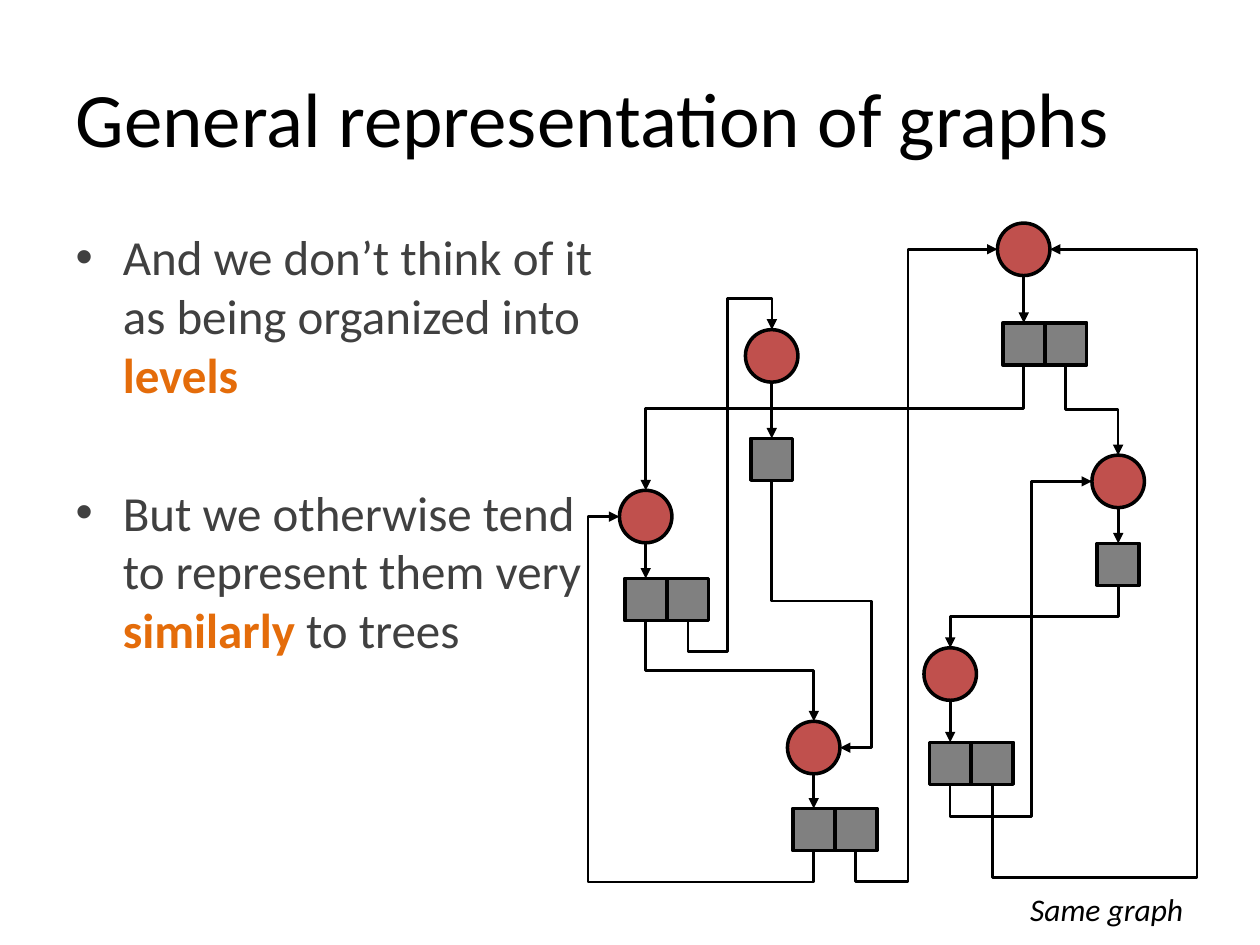
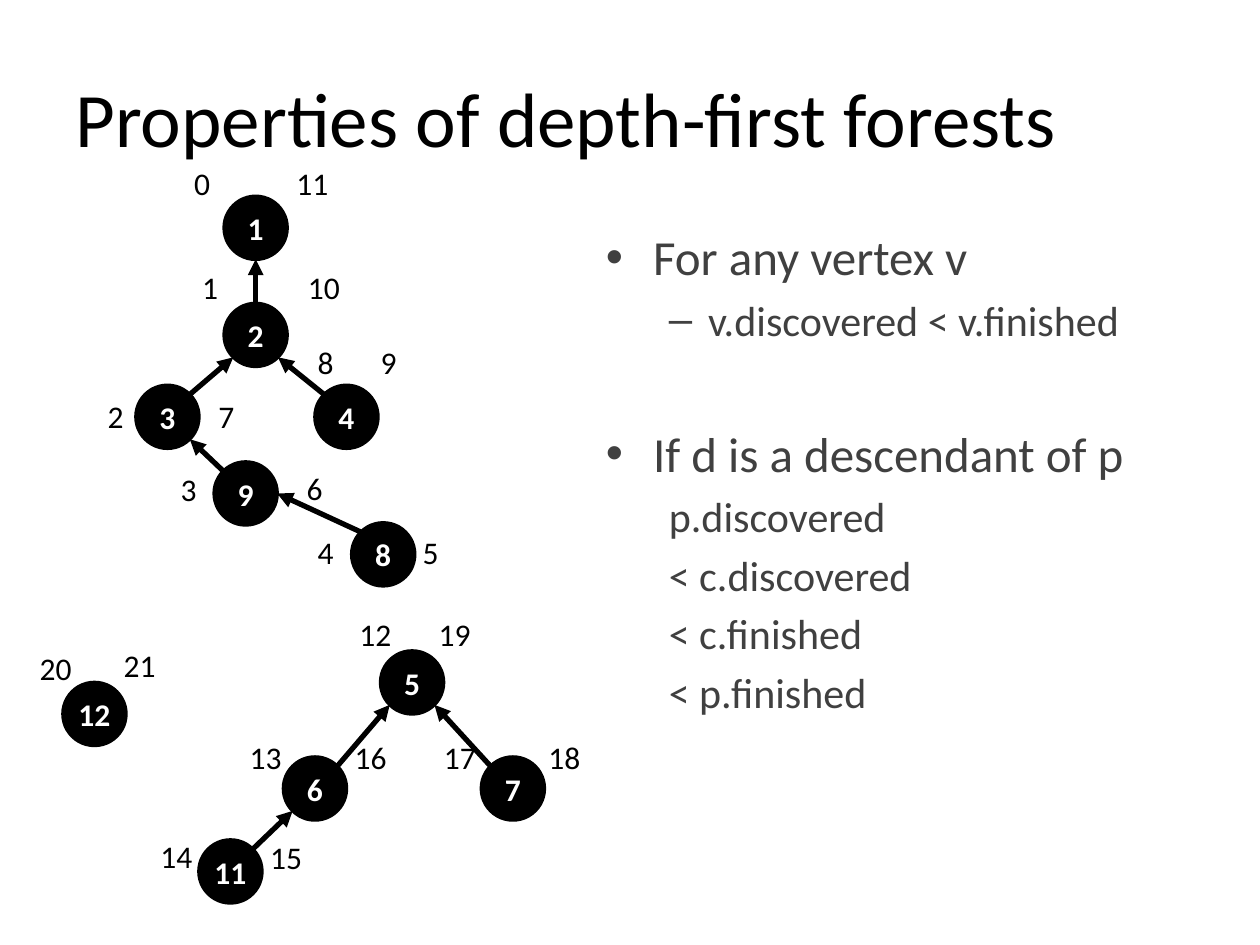
from lxml import etree
from pptx import Presentation
from pptx import util as u
from pptx.dml.color import RGBColor
from pptx.enum import shapes, text
from pptx.oxml.ns import qn

INK = {"black": "000000", "white": "FFFFFF", "body": "404040",
       "key": "E46C0A", "node": "C0504D", "cell": "808080"}
FONT = "Calibri"
COLS, ROWS = 120, 90          # slide grid; one cell is 1/12 inch
UNIT = u.Inches(10) // COLS
SIDES = {"top": (0, 0, -1), "left": (2, -1, 0), "right": (6, 1, 0)}


def cell(n):
    return round(n * UNIT)


def rgb(name):
    return RGBColor.from_string(INK[name])


# ---- shared parts ----
def add_run(para, words, size, ink, bold=None, slant=None):
    run = para.add_run()
    run.text = words
    font = run.font
    font.name, font.size, font.bold, font.italic = FONT, u.Pt(size), bold, slant
    font.color.rgb = rgb(ink)


def start(deck, title, box, paras):
    """Add a slide with a title and a list; paras hold (kind, gap, runs)."""
    slide = deck.slides.add_slide(deck.slide_layouts[1])
    head, body = slide.placeholders
    place(head, (6, 3.6, 108, 15))
    place(body, box)
    para = head.text_frame.paragraphs[0]
    para.alignment = text.PP_ALIGN.LEFT
    add_run(para, title, 44, "black")
    frame = body.text_frame
    for i, (kind, gap, runs) in enumerate(paras):
        para = frame.paragraphs[0] if i == 0 else frame.add_paragraph()
        para.level = 0 if kind == "main" else 1
        if kind == "plain":
            props = para._p.get_or_add_pPr()
            props.set("marL", str(cell(6)))
            props.set("indent", "0")
            etree.SubElement(props, qn("a:buNone"))
        if gap is not None:
            para.space_before = u.Pt(gap)
        for words, ink in runs:
            add_run(para, words, 28 if kind == "main" else 24, ink,
                    bold=ink == "key")
    return slide


def place(shape, box):
    shape.left, shape.top, shape.width, shape.height = map(cell, box)


def add_form(slide, form, box, ink):
    shape = slide.shapes.add_shape(form, *map(cell, box))
    shape.shadow.inherit = False
    shape.fill.solid()
    shape.fill.fore_color.rgb = rgb(ink)
    shape.line.color.rgb = rgb("black")
    shape.line.width = u.Pt(2)
    return shape


def add_disc(slide, x, y, size, ink):
    box = (x - size / 2, y - size / 2, size, size)
    return add_form(slide, shapes.MSO_SHAPE.OVAL, box, ink)


def add_note(slide, x, y, wide, words, slant=None):
    """Add a text box centred on x, y."""
    high = 4.8
    note = slide.shapes.add_textbox(
        *map(cell, (x - wide / 2, y - high / 2, wide, high)))
    note.text_frame.word_wrap = False
    para = note.text_frame.paragraphs[0]
    para.alignment = text.PP_ALIGN.CENTER
    add_run(para, words, 18, "black", slant=slant)


def add_arrow(slide, kind, ends, width):
    line = slide.shapes.add_connector(kind, *map(cell, ends))
    line.line.color.rgb = rgb("black")
    line.line.width = u.Pt(width)
    props = line._element.spPr
    etree.SubElement(props.find(qn("a:ln")), qn("a:tailEnd"), type="triangle")
    etree.SubElement(props, qn("a:effectLst"))
    return line


def add_bend(slide, a, b, mids):
    """Add an elbow arrow that leaves a downwards; mids are y, x, y in turn."""
    (ax, ay), (bx, by) = a, b
    dx, dy = bx - ax, by - ay
    mx, my = (ax + bx) / 2, (ay + by) / 2
    # Elbows leave sideways, so lay the path out flat and turn it by 90 degrees
    flat = (mx - dy / 2, my + dx / 2, mx + dy / 2, my - dx / 2)
    line = add_arrow(slide, shapes.MSO_CONNECTOR.ELBOW, flat, 1.5)
    props = line._element.spPr
    props.find(qn("a:xfrm")).set("rot", str(90 * 60000))
    geom = props.find(qn("a:prstGeom"))
    geom.set("prst", f"bentConnector{len(mids) + 2}")
    guides = geom.find(qn("a:avLst"))
    for i, mid in enumerate(mids):
        share = (mid - ax) / dx if i % 2 else (mid - ay) / dy
        etree.SubElement(guides, qn("a:gd"), name=f"adj{i + 1}",
                         fmla=f"val {round(share * 100000)}")
    return line


def glue(line, **ends):
    """Join line ends (stCxn, endCxn) to (shape, site) pairs."""
    host = line._element.find(".//" + qn("p:cNvCxnSpPr"))
    for tag, (shape, site) in ends.items():
        etree.SubElement(host, qn("a:" + tag), id=str(shape.shape_id),
                         idx=str(site))


# ---- linked graph ----
def draw_graph(slide, left, top):
    size, side = 5, 4
    # name: centre x, centre y, top of cells, number of cells
    nodes = {"a": (43.5, 5.75, 12.75, 2), "b": (19.5, 15.9, 23.75, 1),
             "c": (7.5, 31.2, 37.1, 2), "d": (23.5, 53.2, 59, 2),
             "e": (52.5, 27.85, 33.75, 1), "f": (36.5, 46.2, 52.7, 2)}
    # from node, its cell, to node, side, turning points
    links = [("a", 1, "e", "top", [21]), ("a", 0, "c", "top", [20.9]),
             ("c", 1, "b", "top", [44.05, 15.25, 10.4]),
             ("c", 0, "d", "top", [45.85]), ("e", 0, "f", "top", [40.7]),
             ("d", 0, "c", "left", [66, 2]), ("d", 1, "a", "left", [66, 32.5]),
             ("f", 1, "a", "right", [65.55, 60]),
             ("f", 0, "e", "left", [59.75, 44.25]),
             ("b", 0, "d", "right", [39.25, 29])]
    discs, slots = {}, {}
    for name, (x, y, row, count) in nodes.items():
        x, y, row = left + x, top + y, top + row
        discs[name] = add_disc(slide, x, y, size, "node")
        for i in range(count):
            box = (x + (i - 0.5) * side, row, side, side)
            slots[name, i] = add_form(slide, shapes.MSO_SHAPE.RECTANGLE,
                                      box, "cell")
        stem = add_arrow(slide, shapes.MSO_CONNECTOR.STRAIGHT,
                         (x, y + size / 2, x, row), 1.5)
        stem.end_connect(slots[name, 0], 0)
    for src, i, dst, edge, mids in links:
        x, _, row, _ = nodes[src]
        site, sx, sy = SIDES[edge]
        a = left + x + i * side, top + row + side
        b = (left + nodes[dst][0] + sx * size / 2,
             top + nodes[dst][1] + sy * size / 2)
        mids = [mid + (left if k % 2 else top) for k, mid in enumerate(mids)]
        line = add_bend(slide, a, b, mids)
        glue(line, stCxn=(slots[src, i], 2), endCxn=(discs[dst], site))


# ---- depth-first forest ----
def draw_forest(slide, left, top):
    size = 6
    # vertex: x, y, then discovered and finished times with their offsets
    nodes = {1: (24.35, 6.7, (0, -5.1, -4.3), (11, 5.4, -4.3)),
             2: (24.35, 16.9, (1, -4.35, -4.55), (10, 6.5, -4.55)),
             3: (15.95, 24.7, (2, -4.95, -0.1), (7, 5.6, -0.1)),
             4: (33, 24.7, (8, -2, -5.25), (9, 4, -5.25)),
             9: (23.4, 32, (3, -5.45, -0.45), (6, 6.55, -0.55)),
             8: (36.5, 37.8, (4, -5.5, -0.25), (5, 4.5, -0.25)),
             5: (39.25, 50, (12, -3.5, -4.65), (19, 4.05, -4.65)),
             6: (30, 60.1, (13, -4.7, -3), (16, 5.3, -3)),
             7: (48.85, 60.1, (17, -5.05, -3), (18, 4.9, -3)),
             11: (21.95, 68, (14, -5.15, -1.5), (15, 5.3, -1.4)),
             12: (9, 53, (20, -3.7, -4.4), (21, 4.3, -4.65))}
    parents = {2: 1, 3: 2, 4: 2, 9: 3, 8: 9, 6: 5, 7: 5, 11: 6}
    for name, (x, y, *_) in nodes.items():
        disc = add_disc(slide, left + x, top + y, size, "black")
        frame = disc.text_frame
        frame.word_wrap = False
        frame.vertical_anchor = text.MSO_ANCHOR.MIDDLE
        para = frame.paragraphs[0]
        para.alignment = text.PP_ALIGN.CENTER
        add_run(para, str(name), 18, "white", bold=True)
    for child, parent in parents.items():
        (cx, cy), (px, py) = nodes[child][:2], nodes[parent][:2]
        turn = (cx > px) - (cx < px)
        reach = size / 2 * (0.71 if turn else 1)
        tip = (size / 2, 0) if child == 8 else (turn * reach, reach)
        ends = (left + cx - turn * reach, top + cy - reach,
                left + px + tip[0], top + py + tip[1])
        add_arrow(slide, shapes.MSO_CONNECTOR.STRAIGHT, ends, 3)
    for x, y, *times in nodes.values():
        for time, dx, dy in times:
            wide = 4 if time < 10 else 5.5
            add_note(slide, left + x + dx, top + y + dy, wide, str(time))


# ---- slides ----
def graph_slide(deck):
    slide = start(deck, "General representation of graphs", (6, 21, 53, 66), [
        ("main", 0, [("And we don’t think of it as being organized into ", "body"),
                     ("levels", "key")]),
        ("main", 45, [("But we otherwise tend to represent them very ", "body"),
                      ("similarly ", "key"), ("to trees", "body")])])
    draw_graph(slide, 54, 18)
    add_note(slide, 105.4, 86.6, 17.2, "Same graph", slant=True)


def forest_slide(deck):
    steps = ["p.discovered", "< c.discovered", "< c.finished", "< p.finished"]
    paras = [("main", 0, [("For any vertex v", "body")]),
             ("sub", None, [("v.discovered < v.finished", "body")]),
             ("main", 45, [("If d is a descendant of p", "body")])]
    paras += [("plain", None, [(step, "body")]) for step in steps]
    slide = start(deck, "Properties of depth-first forests",
                  (56.5, 21, 63.5, 59.4), paras)
    draw_forest(slide, 0, 15)


def main():
    deck = Presentation()
    deck.slide_width, deck.slide_height = cell(COLS), cell(ROWS)
    graph_slide(deck)
    forest_slide(deck)
    deck.save("out.pptx")


if __name__ == "__main__":
    main()
